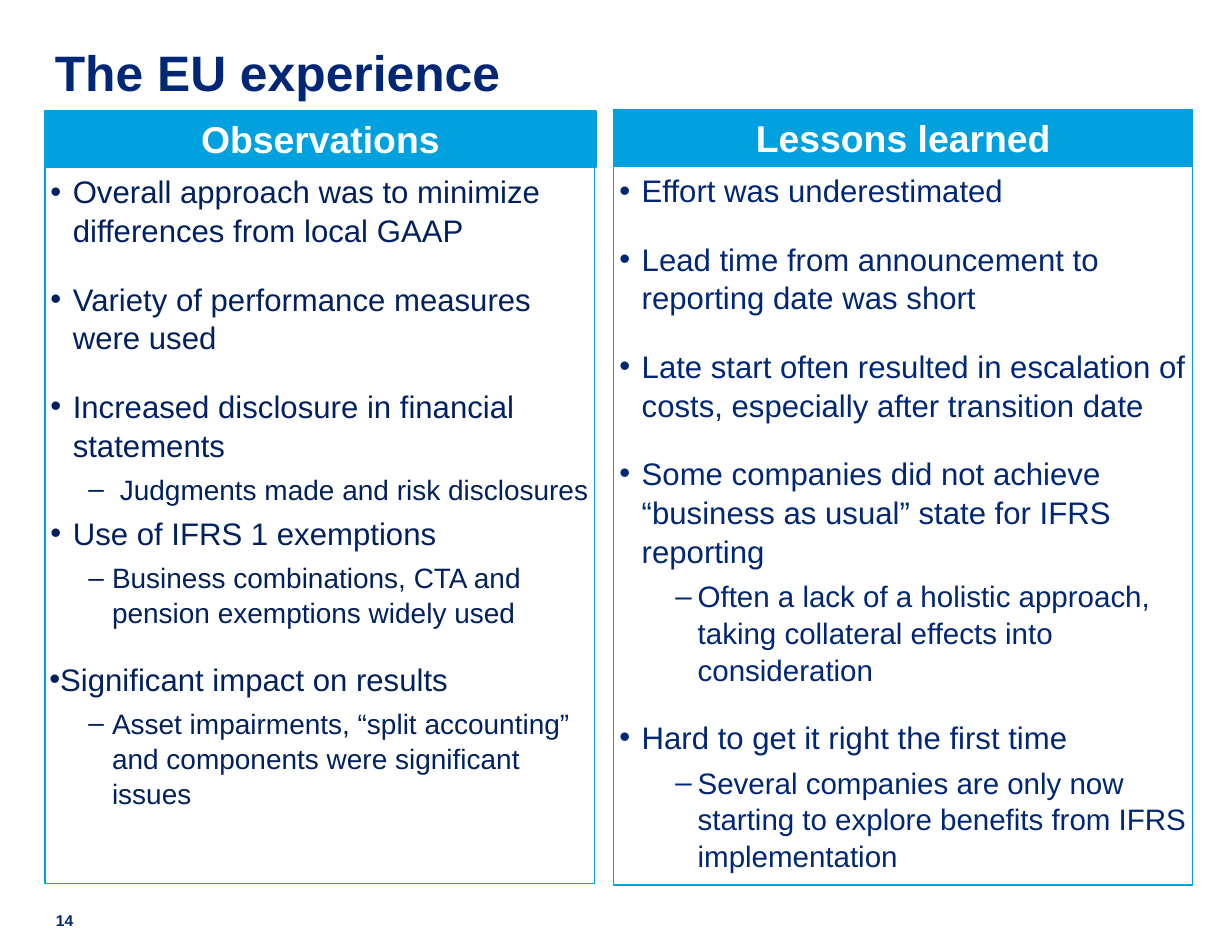
from dataclasses import dataclass

from lxml import etree
from pptx import Presentation
from pptx.dml.color import RGBColor
from pptx.enum.shapes import MSO_SHAPE
from pptx.enum.text import MSO_ANCHOR, PP_ALIGN
from pptx.oxml.ns import qn
from pptx.util import Emu, Inches, Pt

RECT = MSO_SHAPE.RECTANGLE
TOP, MIDDLE = MSO_ANCHOR.TOP, MSO_ANCHOR.MIDDLE
LEFT, CENTER = PP_ALIGN.LEFT, PP_ALIGN.CENTER

# Grid of 110 columns by 85 rows
COLS, ROWS = 110, 85
WIDE, HIGH = Inches(11), Inches(8.5)
FONT = "Arial"
NAVY, INK, CYAN, WHITE = "002776", "002060", "00A1DE", "FFFFFF"
PAD = Inches(0.04)
NEAR, FAR = 4.8, 19


@dataclass
class Box:
    col: float
    row: float
    cols: float
    rows: float

    def place(self) -> tuple:
        return (Emu(round(self.col * WIDE / COLS)), Emu(round(self.row * HIGH / ROWS)),
                Emu(round(self.cols * WIDE / COLS)), Emu(round(self.rows * HIGH / ROWS)))


@dataclass
class Style:
    size: float
    left: float
    hang: float
    mark: str
    level: int = 0


@dataclass
class Item:
    text: str
    style: Style
    after: float = NEAR


@dataclass
class Panel:
    head: str
    bar: Box
    body: Box
    color: str
    items: list


MAIN = Style(20, 0.21, 0.2, "•")
FLUSH = Style(20, 0, 0, "•")
SUB = Style(18, 0.56, 0.21, "–", 1)
INSET = Style(18, 0.63, 0.28, "–", 1)
DEEP = Style(19, 0.71, 0.2, "‒", 1)

PANELS = [
    Panel("Observations", Box(4, 9.9, 49.2, 5), Box(4, 14.9, 49.1, 64), INK, [
        Item("Overall approach was to minimize differences from local GAAP", MAIN, FAR),
        Item("Variety of performance measures were used", MAIN, FAR),
        Item("Increased disclosure in financial statements", MAIN),
        Item("Judgments made and risk disclosures", INSET),
        Item("Use of IFRS 1 exemptions", MAIN),
        Item("Business combinations, CTA and pension exemptions widely used", SUB, FAR),
        Item("Significant impact on results", FLUSH),
        Item("Asset impairments, “split accounting” and components were "
             "significant issues", SUB),
    ]),
    Panel("Lessons learned", Box(54.8, 9.8, 51.7, 5), Box(54.8, 14.8, 51.7, 64.2), NAVY, [
        Item("Effort was underestimated", MAIN, FAR),
        Item("Lead time from announcement to reporting date was short", MAIN, FAR),
        Item("Late start often resulted in escalation of costs, especially "
             "after transition date", MAIN, FAR),
        Item("Some companies did not achieve “business as usual” state for "
             "IFRS reporting", MAIN),
        Item("Often a lack of a holistic approach, taking collateral effects "
             "into consideration", DEEP, FAR),
        Item("Hard to get it right the first time", MAIN),
        Item("Several companies are only now starting to explore benefits "
             "from IFRS implementation", DEEP),
    ]),
]


def paint(value: str) -> RGBColor:
    return RGBColor.from_string(value)


def style_font(para, size: float, color: str, bold: bool = False) -> None:
    font = para.font
    font.name, font.size, font.bold = FONT, Pt(size), bold
    font.color.rgb = paint(color)


def set_frame(frame, pad: int, anchor) -> None:
    frame.word_wrap = True
    frame.vertical_anchor = anchor
    frame.margin_left = frame.margin_right = pad
    frame.margin_top = frame.margin_bottom = pad


def add_label(slide, box: Box, text: str, size: float, pitch: float) -> None:
    frame = slide.shapes.add_textbox(*box.place()).text_frame
    set_frame(frame, 0, TOP)
    para = frame.paragraphs[0]
    para.text = text
    para.line_spacing = Pt(pitch)
    style_font(para, size, NAVY, True)


def add_rect(slide, box: Box, anchor, fill: str = ""):
    shape = slide.shapes.add_shape(RECT, *box.place())
    shape.shadow.inherit = False
    if fill:
        shape.fill.solid()
        shape.fill.fore_color.rgb = paint(fill)
    else:
        shape.fill.background()
    shape.line.color.rgb = paint(CYAN)
    shape.line.width = Pt(1)
    set_frame(shape.text_frame, PAD, anchor)
    return shape.text_frame


def add_item(para, item: Item, color: str) -> None:
    style = item.style
    para.text = item.text
    para.level = style.level
    para.alignment = LEFT
    para.line_spacing = 1.04
    para.space_after = Pt(item.after)
    # Bullet and hanging indent
    props = para._p.get_or_add_pPr()
    props.set("marL", str(Inches(style.left)))
    props.set("indent", str(-Inches(style.hang)))
    etree.SubElement(props, qn("a:buFont")).set("typeface", FONT)
    etree.SubElement(props, qn("a:buChar")).set("char", style.mark)
    style_font(para, style.size, color)


def add_panel(slide, panel: Panel) -> None:
    # Heading bar
    para = add_rect(slide, panel.bar, MIDDLE, CYAN).paragraphs[0]
    para.text = panel.head
    para.alignment = CENTER
    style_font(para, 24, WHITE, True)
    # Bulleted body
    frame = add_rect(slide, panel.body, TOP)
    for index, item in enumerate(panel.items):
        para = frame.add_paragraph() if index else frame.paragraphs[0]
        add_item(para, item, panel.color)


def main() -> None:
    deck = Presentation()
    deck.slide_width, deck.slide_height = WIDE, HIGH
    slide = deck.slides.add_slide(deck.slide_layouts[6])
    # Page number and title
    add_label(slide, Box(5, 81.3, 3.4, 1.8), "14", 10, 12)
    add_label(slide, Box(4.9, 4.3, 101.3, 7.8), "The EU experience", 32, 34)
    # Two columns
    for panel in PANELS:
        add_panel(slide, panel)
    deck.save("out.pptx")


if __name__ == "__main__":
    main()
